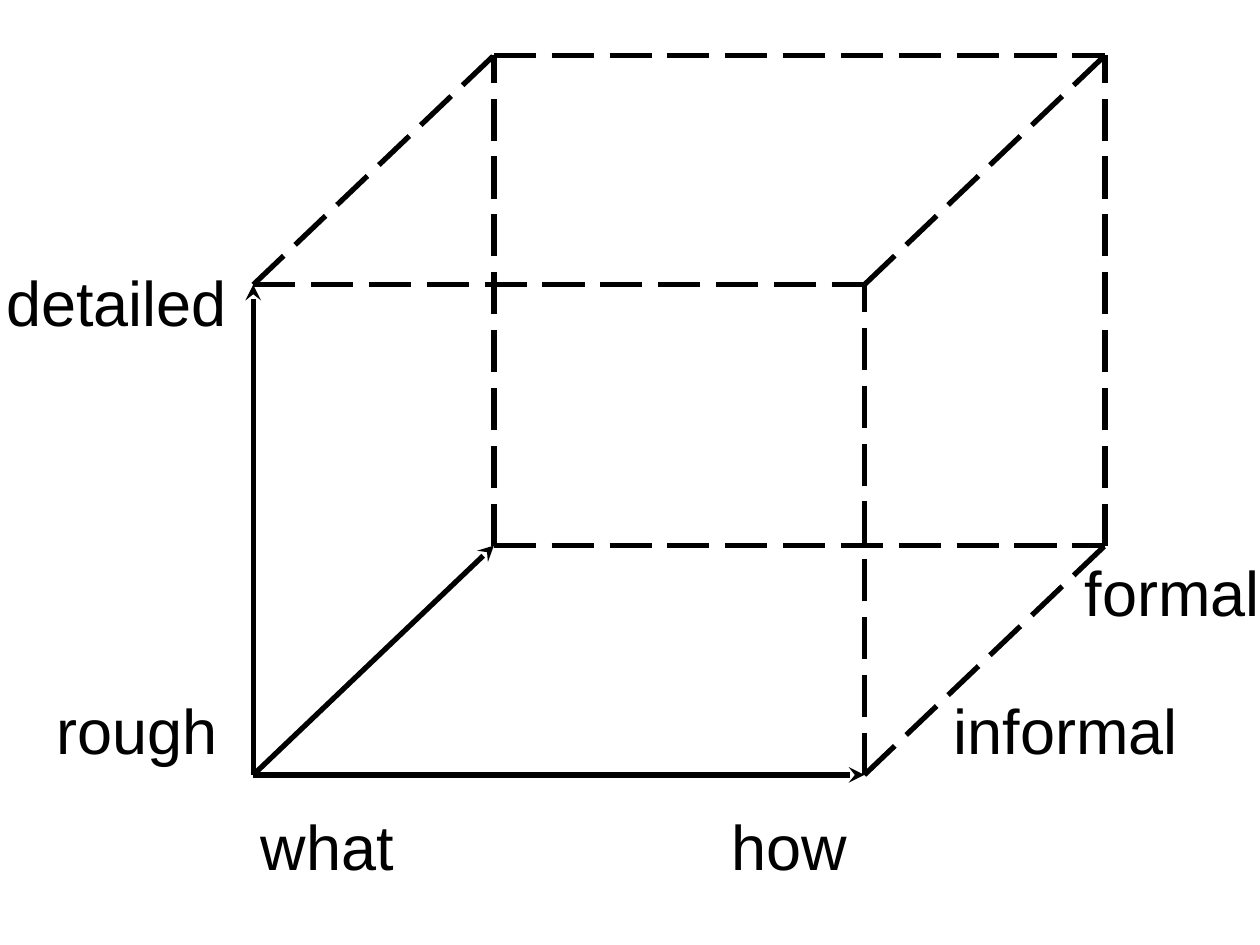
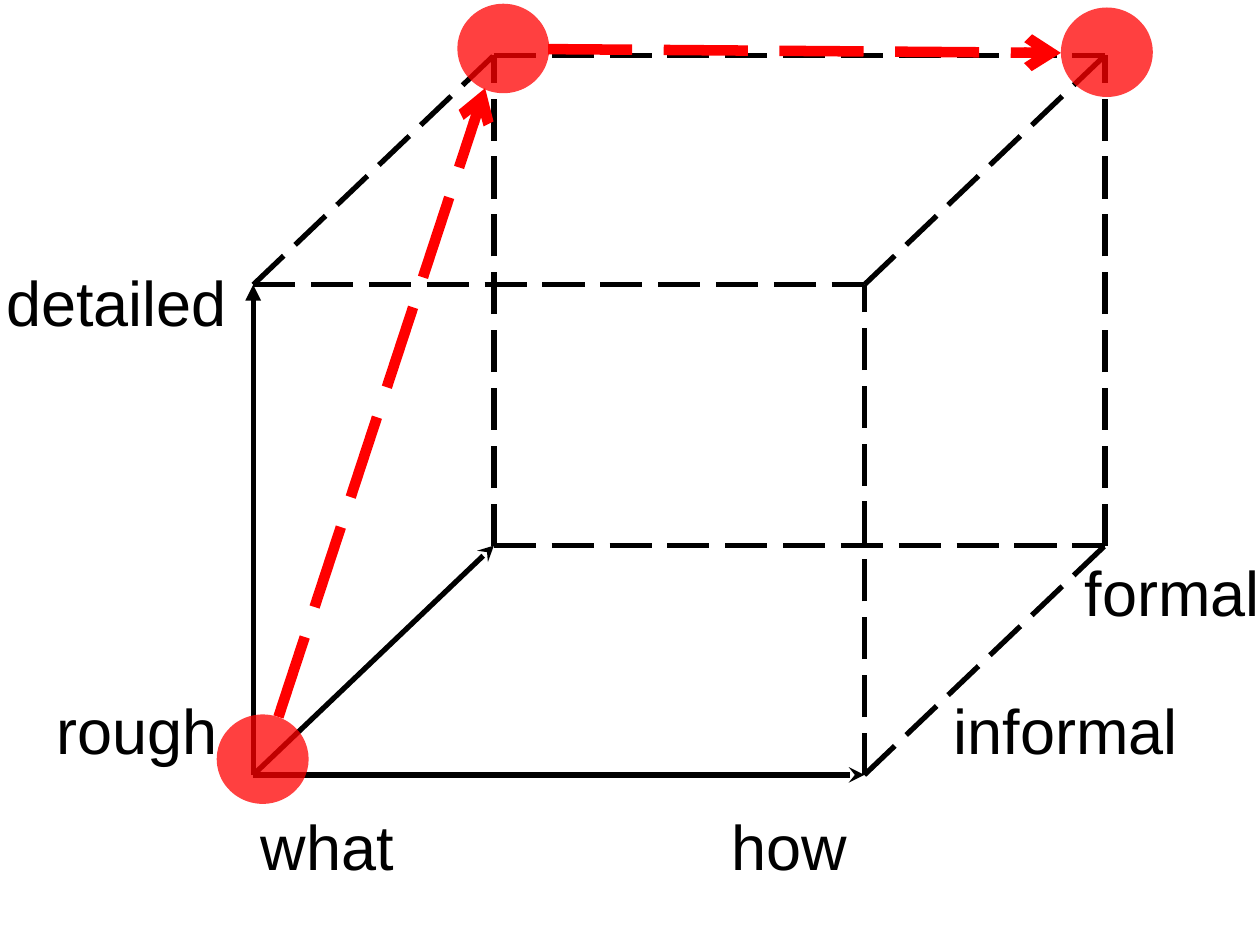
from itertools import combinations, product

from lxml import etree
from pptx import Presentation
from pptx.dml.color import RGBColor
from pptx.enum.dml import MSO_LINE
from pptx.enum.shapes import MSO_CONNECTOR, MSO_SHAPE
from pptx.enum.text import MSO_AUTO_SIZE
from pptx.oxml.ns import qn
from pptx.util import Inches, Pt

LONG_DASH = MSO_LINE.LONG_DASH
STRAIGHT = MSO_CONNECTOR.STRAIGHT
OVAL = MSO_SHAPE.OVAL
FIT_SHAPE = MSO_AUTO_SIZE.SHAPE_TO_FIT_TEXT

BLACK = RGBColor(0x00, 0x00, 0x00)
RED = RGBColor(0xFF, 0x00, 0x00)
LABEL_FONT = {"name": "Arial", "size": Pt(36)}

# Cube grid in inches: the origin and the step along each axis
ORIGIN = (2.01, 6.15)
AXIS_STEPS = [(4.85, 0), (0, -3.89), (1.91, -1.82)]  # what-how, detail, formality

# Label text with left, top and width of its box
LABEL_HEIGHT = 0.7
LABELS = [
    ("what", 1.97, 6.36, 1.51),
    ("how", 5.71, 6.36, 1.14),
    ("rough", 0.35, 5.44, 1.54),
    ("detailed", -0.05, 2.04, 2.02),
    ("formal", 8.51, 4.34, 1.7),
    ("informal", 7.47, 5.44, 2.08),
]

# Stations of the path on the second slide
STATION_SIZE = (0.73, 0.71)
STATIONS = [(1.72, 5.67), (8.42, 0.06), (3.63, 0.03)]
PATH = [((2.21, 5.69), (3.85, 0.7)), ((4.35, 0.39), (8.42, 0.42))]


def add_line(shapes, start, end, color, width, dashed=False, arrowhead=None):
    line_shape = shapes.add_connector(
        STRAIGHT, *[Inches(length) for length in (*start, *end)])
    line_shape.line.color.rgb = color
    line_shape.line.width = Pt(width)
    if dashed:
        line_shape.line.dash_style = LONG_DASH
    properties = line_shape.element.spPr
    if arrowhead:
        etree.SubElement(properties.find(qn("a:ln")), qn("a:tailEnd"), type=arrowhead)
    etree.SubElement(properties, qn("a:effectLst"))


# Corners of the cube, keyed by the steps taken along each axis
corners = {
    key: tuple(
        ORIGIN[side] + sum(taken * step[side] for taken, step in zip(key, AXIS_STEPS))
        for side in (0, 1))
    for key in product((0, 1), repeat=3)
}
edges = [
    (start, end) for start, end in combinations(corners, 2)
    if sum(a != b for a, b in zip(start, end)) == 1
]

presentation = Presentation()
presentation.slide_width = Inches(10)
presentation.slide_height = Inches(7.5)
blank_layout = presentation.slide_layouts[6]

for detail_arrowhead, has_path in [("stealth", False), ("triangle", True)]:
    slide = presentation.slides.add_slide(blank_layout)

    # Axis labels
    for text, left, top, width in LABELS:
        label = slide.shapes.add_textbox(
            Inches(left), Inches(top), Inches(width), Inches(LABEL_HEIGHT))
        label.text_frame.word_wrap = True
        label.text_frame.auto_size = FIT_SHAPE
        run = label.text_frame.paragraphs[0].add_run()
        run.text = text
        for name, value in LABEL_FONT.items():
            setattr(run.font, name, value)
        run.font.color.rgb = BLACK

    # Cube: the three edges at the origin are arrows, the others are dashed
    cube_shapes = slide.shapes if has_path else slide.shapes.add_group_shape().shapes
    for start, end in edges:
        is_axis = not any(start)
        arrowhead = None
        if is_axis:
            arrowhead = detail_arrowhead if end == (0, 1, 0) else "stealth"
        add_line(cube_shapes, corners[start], corners[end], BLACK, 3,
                 not is_axis, arrowhead)

    # Path from rough and informal to detailed and formal
    if has_path:
        add_line(slide.shapes, *PATH[0], RED, 6, True, "arrow")
        for left, top in STATIONS:
            station = slide.shapes.add_shape(
                OVAL, Inches(left), Inches(top),
                *[Inches(length) for length in STATION_SIZE])
            station.shadow.inherit = False
            station.line.fill.background()
            station.fill.solid()
            station.fill.fore_color.rgb = RED
            fill_color = station.element.spPr.find(qn("a:solidFill"))[0]
            etree.SubElement(fill_color, qn("a:alpha"), val="75000")
        add_line(slide.shapes, *PATH[1], RED, 6, True, "arrow")

presentation.save("out.pptx")
